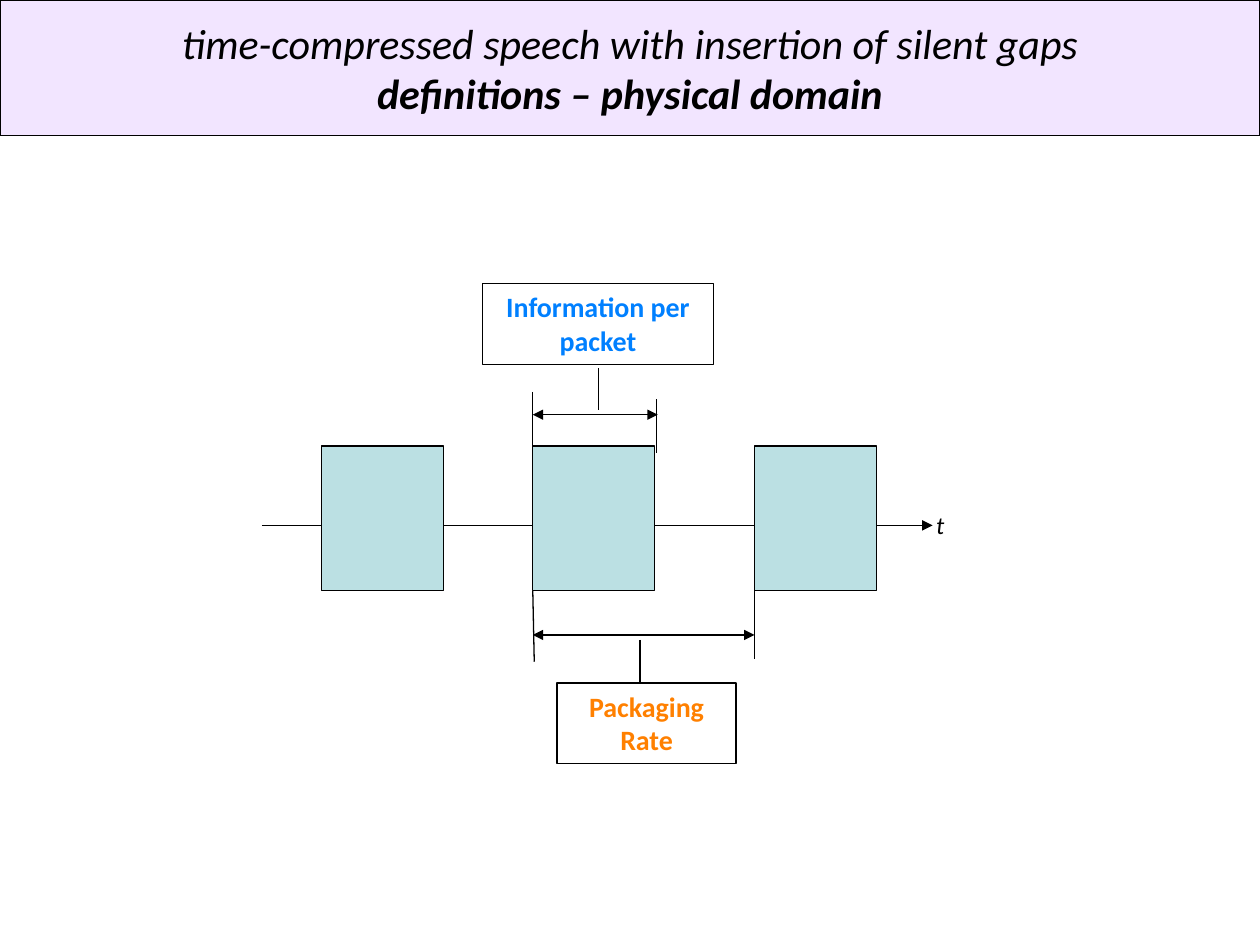
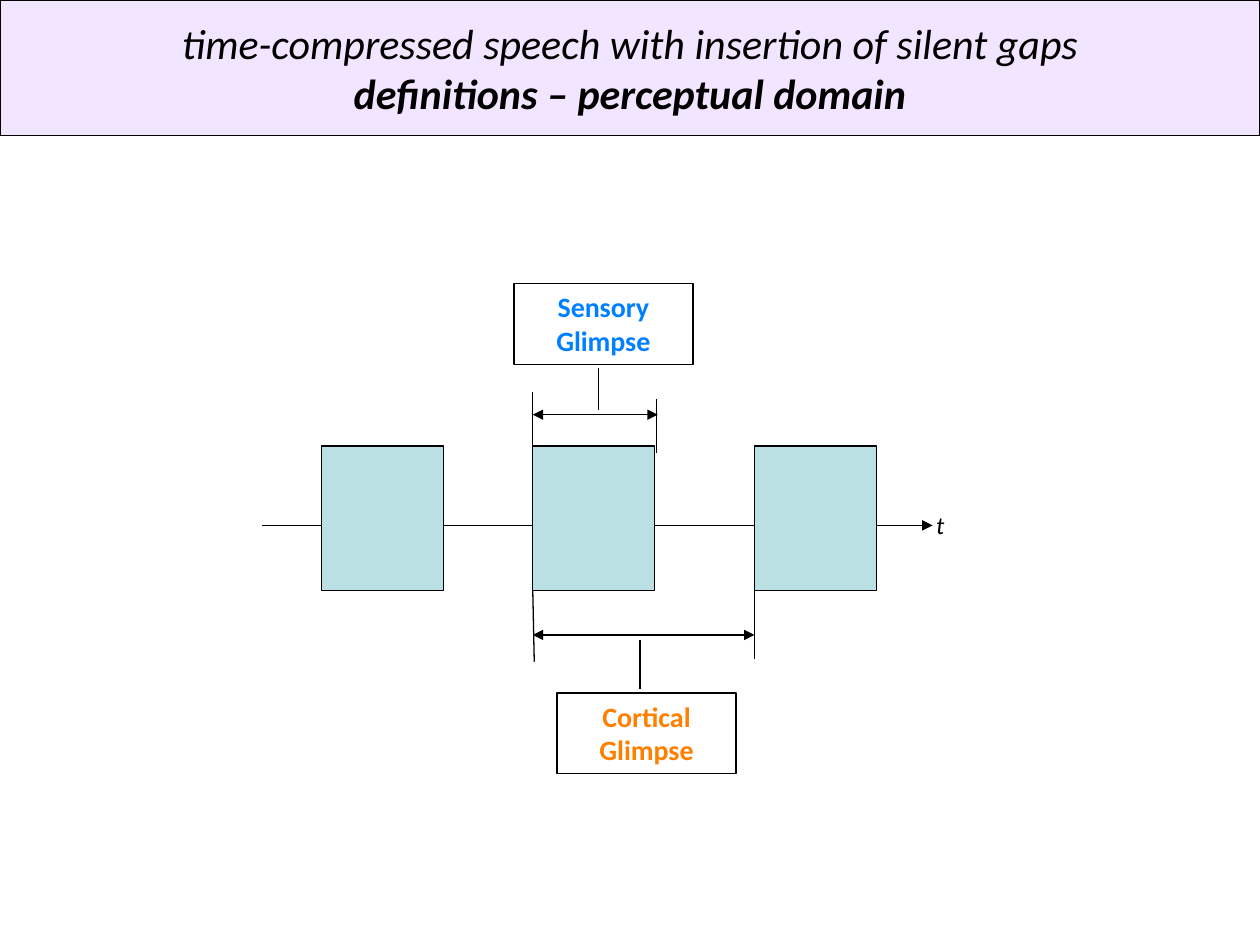
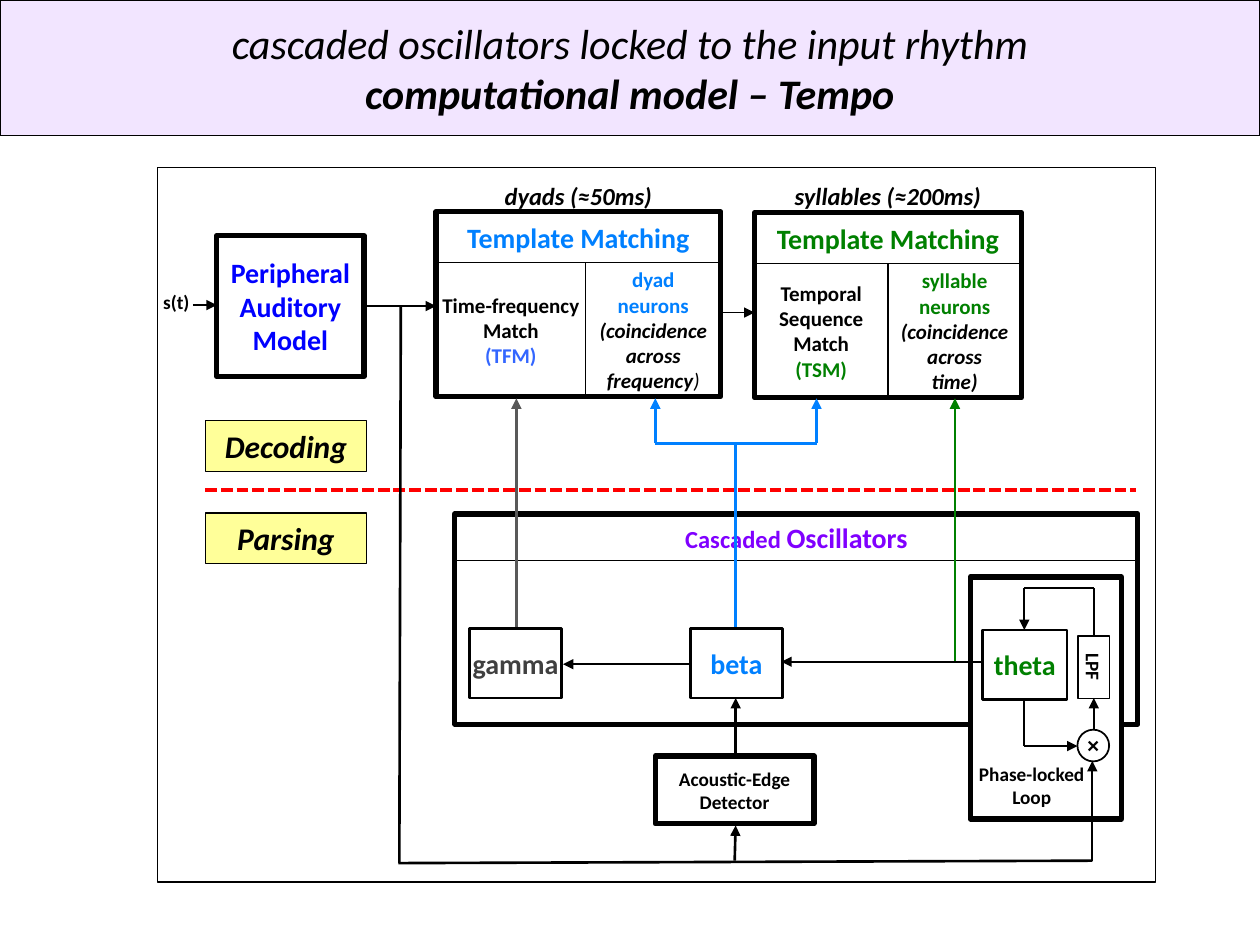
from lxml.etree import SubElement as Sub
from pptx import Presentation
from pptx.dml.color import RGBColor
from pptx.enum.dml import MSO_LINE as Dash
from pptx.enum.shapes import MSO_CONNECTOR as Link, MSO_SHAPE as Form
from pptx.enum.text import MSO_ANCHOR as Anchor, PP_ALIGN as Align
from pptx.oxml.ns import qn
from pptx.util import Cm, Pt

BLACK, WHITE, VIOLET = "000000", "FFFFFF", "8000FF"
BLUE, GREEN, ORANGE = "0080FF", "008000", "FF8000"
TEAL, YELLOW, GREY, RED = "BBE0E3", "FFFF99", "595959", "FF0000"


def rgb(code):
    return RGBColor.from_string(code)


class Deck:
    """Hold the shared style and draw on the current slide."""

    def __init__(self):
        self.prs = Presentation()
        self.prs.slide_width, self.prs.slide_height = Cm(25.4), Cm(19.05)

    def page(self, top, main):
        self.shapes = self.prs.slides.add_slide(self.prs.slide_layouts[6]).shapes
        band = self.box(0, 0, 25.4, 2.74, [top, main], 24, fill=VIOLET, italic=True, wrap=True)
        hue = band._element.spPr.find(qn("a:solidFill"))[0]
        Sub(hue, qn("a:alpha"), val="10000")
        band.text_frame.paragraphs[0].font.bold = False

    def label(self, shape, lines, size, color, italic=False, wrap=False,
              anchor=Anchor.MIDDLE, face="Calibri"):
        frame = shape.text_frame
        frame.word_wrap, frame.vertical_anchor = wrap, anchor
        for i, line in enumerate(lines):
            words, hue, slant = line if isinstance(line, tuple) else (line, color, italic)
            para = frame.paragraphs[0] if i == 0 else frame.add_paragraph()
            para.alignment = Align.CENTER
            para.add_run().text = words
            font = para.font
            font.name, font.size, font.bold, font.italic = face, Pt(size), True, slant
            font.color.rgb = rgb(hue)

    def box(self, x, y, w, h, lines=(), size=16, color=BLACK, fill=None,
            edge=0.75, form=Form.RECTANGLE, **style):
        shape = self.shapes.add_shape(form, Cm(x), Cm(y), Cm(w), Cm(h))
        shape.shadow.inherit = False
        if fill:
            shape.fill.solid()
            shape.fill.fore_color.rgb = rgb(fill)
        else:
            shape.fill.background()
        shape.line.color.rgb = rgb(BLACK)
        shape.line.width = Pt(edge)
        self.label(shape, lines, size, color, **style)
        return shape

    def text(self, x, y, w, h, lines, size, **style):
        shape = self.shapes.add_textbox(Cm(x), Cm(y), Cm(w), Cm(h))
        self.label(shape, lines, size, BLACK, **style)
        return shape

    def line(self, x, y, x2, y2, edge=0.75, color=BLACK, ends=(), dash=None):
        link = self.shapes.add_connector(Link.STRAIGHT, Cm(x), Cm(y), Cm(x2), Cm(y2))
        link.line.color.rgb = rgb(color)
        link.line.width = Pt(edge)
        if dash:
            link.line.dash_style = dash
        props = link._element.spPr
        for end in ends:
            Sub(props.find(qn("a:ln")), qn(f"a:{end}End"), type="triangle")
        Sub(props, qn("a:effectLst"))

    def arrow(self, x, y, x2, y2, edge=1, color=BLACK):
        self.line(x, y, x2, y2, edge, color, ["tail"])

    def span(self, x, x2, y):
        self.line(x, y, x2, y, ends=["head", "tail"])

    def term(self, x, y, w, words, color):
        self.box(x, y, w, 1.63, [words], color=color, wrap=True, anchor=Anchor.TOP)

    def match(self, x, y, w, cut, name, color, left, right):
        self.text(x, 3.61, w, 0.69, [name], 14, italic=True)
        low = y + 1.02
        self.box(x, low, cut, 2.72, left, 12, fill=WHITE)
        cell = self.box(x + cut, low, w - cut, 2.72, right, 12, fill=WHITE)
        self.box(x, y, w, 1.02, ["Template Matching"], color=color, fill=WHITE)
        self.box(x, y, w, 3.73, edge=3)
        return cell


def packets(deck, part, top, base, stem):
    """Draw a train of packets with a term above and below."""
    deck.page("time-compressed speech with insertion of silent gaps",
              f"definitions – {part} domain")
    axis = deck.text(18.62, 10.16, 0.89, 0.86, ["t"], 14, italic=True, anchor=Anchor.TOP)
    para = axis.text_frame.paragraphs[0]
    para.alignment, para.font.bold = Align.LEFT, False
    deck.arrow(5.28, 10.59, 18.8, 10.59, 0.75)
    for x in (6.48, 10.74, 15.21):
        deck.box(x, 8.99, 2.46, 2.92, fill=TEAL)
    for x, y, x2, y2 in ((10.74, 7.9, 10.74, 8.99), (13.23, 8.05, 13.23, 9.14),
                         (10.74, 11.91, 10.77, 13.34), (15.21, 11.86, 15.21, 13.28),
                         (12.07, 7.42, 12.07, 8.26), (12.9, 12.9, 12.9, stem)):
        deck.line(x, y, x2, y2)
    deck.span(10.74, 13.26, 8.36)
    deck.span(10.74, 15.21, 12.8)
    deck.term(*top, BLUE)
    deck.term(*base, ORANGE)


def nerves(unit, color, last):
    """List the lines of a neuron cell."""
    return [(unit, color, False), ("neurons", color, False)] + [
        (words, BLACK, True) for words in ("(coincidence", "across", last)]


def models(deck):
    """Draw the input model and the two template matchers."""
    deck.text(2.97, 5.72, 1.17, 0.74, ["s(t)"], 11)
    deck.arrow(3.89, 6.15, 4.37, 6.15, 1.5)
    deck.box(4.37, 4.75, 2.97, 2.84, ["Peripheral", "Auditory", "Model"],
             color="0000FF", edge=3)
    deck.arrow(7.39, 6.17, 8.79, 6.17, 1.5)
    for y, name in ((8.48, "Decoding"), (10.34, "Parsing")):
        deck.box(4.14, y, 3.25, 1.02, [name], 18, fill=YELLOW, italic=True)
    deck.arrow(14.5, 6.3, 15.21, 6.3, 0.75)
    deck.match(15.21, 4.29, 5.38, 2.69, "syllables (≈200ms)", GREEN,
               ["Temporal", "Sequence", "Match", ("(TSM)", GREEN, False)],
               nerves("syllable", GREEN, "time)"))
    cell = deck.match(8.79, 4.27, 5.74, 3.02, "dyads (≈50ms)", BLUE,
                      ["Time-frequency", "Match", ("(TFM)", "3366FF", False)],
                      nerves("dyad", BLUE, "frequency"))
    run = cell.text_frame.paragraphs[-1].add_run()
    run.text, run.font.bold = ")", False
    deck.line(4.14, 9.88, 22.91, 9.88, 2.25, RED, dash=Dash.SQUARE_DOT)


def waves(deck):
    """Draw the oscillators and their links."""
    head = deck.box(9.17, 10.36, 13.77, 0.94, ["Cascaded "], color=VIOLET, fill=WHITE)
    para = head.text_frame.paragraphs[0]
    para.runs[0].font.size = Pt(14)
    para.add_run().text = "Oscillators"
    deck.box(9.17, 10.36, 13.77, 4.24, edge=3)
    deck.arrow(13.92, 13.39, 11.35, 13.39)
    for x, y, color in ((10.41, 12.9, GREY), (13.21, 8.94, BLUE),
                        (16.46, 8.94, BLUE), (19.25, 13.34, GREEN)):
        deck.arrow(x, y, x, 8.03, 1.5, color)
    deck.line(13.21, 8.94, 16.46, 8.94, 1.5, BLUE)
    deck.line(14.83, 8.94, 14.83, 12.9, 1.5, BLUE)
    for x, name, color in ((13.92, "beta", BLUE), (9.47, "gamma", "404040")):
        deck.box(x, 12.67, 1.85, 1.4, [name], color=color, fill=WHITE, edge=1.5)
    deck.line(8.05, 17.4, 8.08, 6.15, 1.5)
    deck.line(8.03, 17.4, 22.02, 17.35, 1.5)
    deck.box(13.21, 15.24, 3.2, 1.37, ["Acoustic-Edge", "Detector"], 11, edge=3)
    deck.arrow(14.83, 15.24, 14.83, 14.07, 1.5)
    deck.arrow(14.81, 17.35, 14.83, 16.64, 1.5)


def loop(deck):
    """Draw the phase-locked loop."""
    deck.box(19.56, 11.63, 3.05, 4.88, fill=WHITE, edge=3)
    deck.box(21.72, 14.71, 0.64, 0.64, ["×"], 12, fill=WHITE, edge=1,
             form=Form.OVAL, face="Arial")
    low = deck.box(21.41, 13.13, 1.27, 0.64, ["LPF"], 11, fill=WHITE, edge=1)
    low.rotation = 90
    for x, y, x2, y2 in ((20.65, 11.86, 22.05, 11.86), (22.05, 11.86, 22.05, 12.8),
                         (20.65, 14.1, 20.65, 15.04)):
        deck.line(x, y, x2, y2, 1)
    for x, y, x2, y2 in ((22.05, 14.71, 22.05, 14.07), (19.79, 13.34, 15.75, 13.34),
                         (20.65, 15.04, 21.72, 15.04), (20.65, 11.86, 20.65, 12.7)):
        deck.arrow(x, y, x2, y2)
    deck.box(19.81, 12.7, 1.7, 1.4, ["theta"], color=GREEN, fill=WHITE, edge=1.5)
    deck.arrow(22.02, 17.35, 22.02, 15.34, 1.25)
    deck.text(19.43, 15.24, 2.74, 1.19, ["Phase-locked Loop"], 11, wrap=True)


def main():
    deck = Deck()
    packets(deck, "physical", (9.73, 5.72, 4.65, "Information per packet"),
            (11.23, 13.77, 3.61, "Packaging Rate"), 13.77)
    packets(deck, "perceptual", (10.36, 5.72, 3.61, "Sensory Glimpse"),
            (11.23, 13.97, 3.61, "Cortical Glimpse"), 13.89)
    deck.page("cascaded oscillators locked to the input rhythm",
              "computational model – Tempo")
    deck.box(3.18, 3.38, 20.12, 14.4)
    models(deck)
    waves(deck)
    loop(deck)
    deck.prs.save("out.pptx")


if __name__ == "__main__":
    main()
